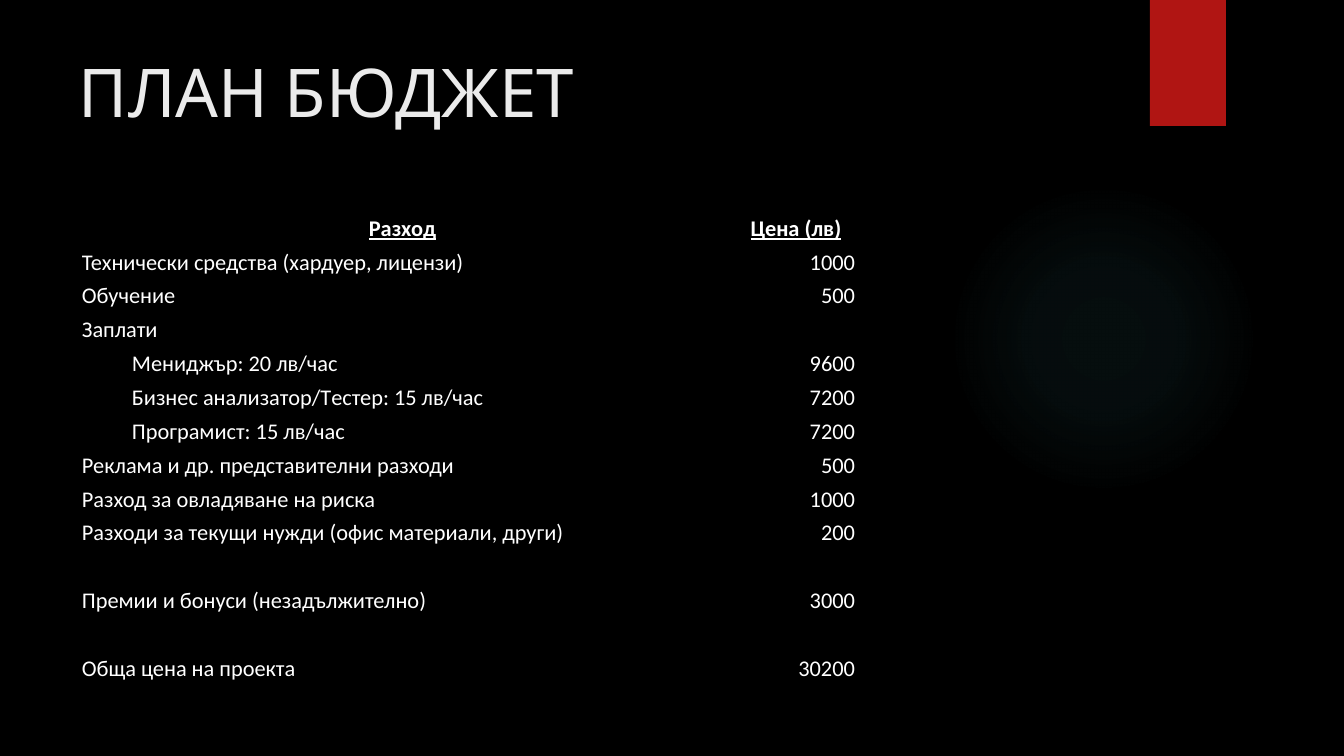
from lxml import etree
from pptx import Presentation
from pptx.dml.color import RGBColor
from pptx.enum.shapes import MSO_SHAPE
from pptx.enum.text import MSO_ANCHOR, MSO_AUTO_SIZE, PP_ALIGN
from pptx.oxml import parse_xml
from pptx.oxml.ns import nsdecls, qn
from pptx.util import Emu, Pt

EMU_PER_PX = 914400 / 100.8
BLACK, WHITE, TITLE_GREY, RED, TEAL = "000000", "FFFFFF", "EBEBEB", "B01513", "50B9C1"

# Each row: expense, price, indent in px
EXPENSES = [
    ("Разход", "Цена (лв)", 0),
    ("Технически средства (хардуер, лицензи)", "1000", 0),
    ("Обучение", "500", 0),
    ("Заплати", "", 0),
    ("Мениджър: 20 лв/час", "9600", 50),
    ("Бизнес анализатор/Tестер: 15 лв/час", "7200", 50),
    ("Програмист: 15 лв/час", "7200", 50),
    ("Реклама и др. представителни разходи", "500", 0),
    ("Разход за овладяване на риска", "1000", 0),
    ("Разходи за текущи нужди (офис материали, други)", "200", 0),
    ("", "", 0),
    ("Премии и бонуси (незадължително)", "3000", 0),
    ("", "", 0),
    ("Обща цена на проекта", "30200", 0),
]


def px(length):
    return Emu(round(length * EMU_PER_PX))


def color(hex_code):
    return RGBColor.from_string(hex_code)


class BudgetSlide:
    def __init__(self, deck):
        self.page = deck.slides.add_slide(deck.slide_layouts[5])
        self.body_font, self.title_font = "Calibri", "League Spartan"
        fill = self.page.background.fill
        fill.solid()
        fill.fore_color.rgb = color(BLACK)

    def style(self, paragraph, font_name, size, hex_code, bold=False):
        for span in paragraph.runs:
            span.font.name = font_name
            span.font.size = Pt(size)
            span.font.bold = span.font.underline = bold
            span.font.color.rgb = color(hex_code)

    def shape(self, kind, left, top, width, height, hex_code):
        shape = self.page.shapes.add_shape(kind, px(left), px(top), px(width), px(height))
        shape.shadow.inherit = False
        shape.line.fill.background()
        shape.fill.solid()
        shape.fill.fore_color.rgb = color(hex_code)
        return shape

    def glow(self, left, top, size, hex_code, stops):
        circle = self.shape(MSO_SHAPE.OVAL, left, top, size, size, hex_code)
        stop_xml = "".join(
            f'<a:gs pos="{position * 1000}"><a:srgbClr val="{hex_code}">'
            f'<a:alpha val="{alpha * 1000}"/></a:srgbClr></a:gs>'
            for position, alpha in stops)
        gradient = parse_xml(
            f'<a:gradFill {nsdecls("a")} rotWithShape="1"><a:gsLst>{stop_xml}</a:gsLst>'
            '<a:path path="circle"><a:fillToRect l="50000" t="50000" r="50000" b="50000"/>'
            '</a:path></a:gradFill>')
        properties = circle._element.spPr
        properties.replace(properties.find(qn("a:solidFill")), gradient)

    def title(self, text, left, top, width, height):
        box = self.page.shapes.title
        box.left, box.top, box.width, box.height = px(left), px(top), px(width), px(height)
        frame = box.text_frame
        frame.text = text
        frame.word_wrap = True
        frame.auto_size = MSO_AUTO_SIZE.NONE
        frame.vertical_anchor = MSO_ANCHOR.TOP
        frame.margin_left = px(7)
        frame.margin_top = 0
        para = frame.paragraphs[0]
        para.alignment = PP_ALIGN.LEFT
        self.style(para, self.title_font, 48, TITLE_GREY)

    def cell(self, cell, text, align, indent, bold):
        cell.margin_left = cell.margin_right = px(7)
        cell.margin_top = cell.margin_bottom = 0
        para = cell.text_frame.paragraphs[0]
        para.text = text
        para.alignment = align
        para.line_spacing = 1.07
        if indent:
            para._p.get_or_add_pPr().set("marL", str(px(indent)))
        self.style(para, self.body_font, 16, WHITE, bold)
        # Borders come before the fill in the cell properties
        properties = cell._tc.get_or_add_tcPr()
        for side in ("lnL", "lnR", "lnT", "lnB"):
            border = etree.SubElement(properties, qn(f"a:{side}"), w=str(Pt(1)))
            solid = etree.SubElement(border, qn("a:solidFill"))
            etree.SubElement(solid, qn("a:srgbClr"), val=BLACK)
        cell.fill.background()

    def table(self, rows, left, top, widths, height):
        table = self.page.shapes.add_table(
            len(rows), len(widths), px(left), px(top), px(sum(widths)), px(height)).table
        table.first_row = table.horz_banding = False
        for column, width in zip(table.columns, widths):
            column.width = px(width)
        for index, (expense, price, indent) in enumerate(rows):
            header = index == 0
            aligns = [PP_ALIGN.CENTER] * 2 if header else [PP_ALIGN.LEFT, PP_ALIGN.RIGHT]
            self.cell(table.cell(index, 0), expense, aligns[0], indent, header)
            self.cell(table.cell(index, 1), price, aligns[1], 0, header)


def main():
    deck = Presentation()
    deck.slide_width, deck.slide_height = px(1344), px(756)
    slide = BudgetSlide(deck)
    # Background decoration
    slide.glow(949, 184, 310, TEAL, [(0, 7), (36, 6), (69, 0)])
    slide.shape(MSO_SHAPE.RECTANGLE, 1150, 0, 76, 126, RED)
    # Title and budget
    slide.title("ПЛАН БЮДЖЕТ", 72, 50, 1037, 154)
    slide.table(EXPENSES, 75, 213, [655, 132], 474)
    deck.save("out.pptx")


if __name__ == "__main__":
    main()
